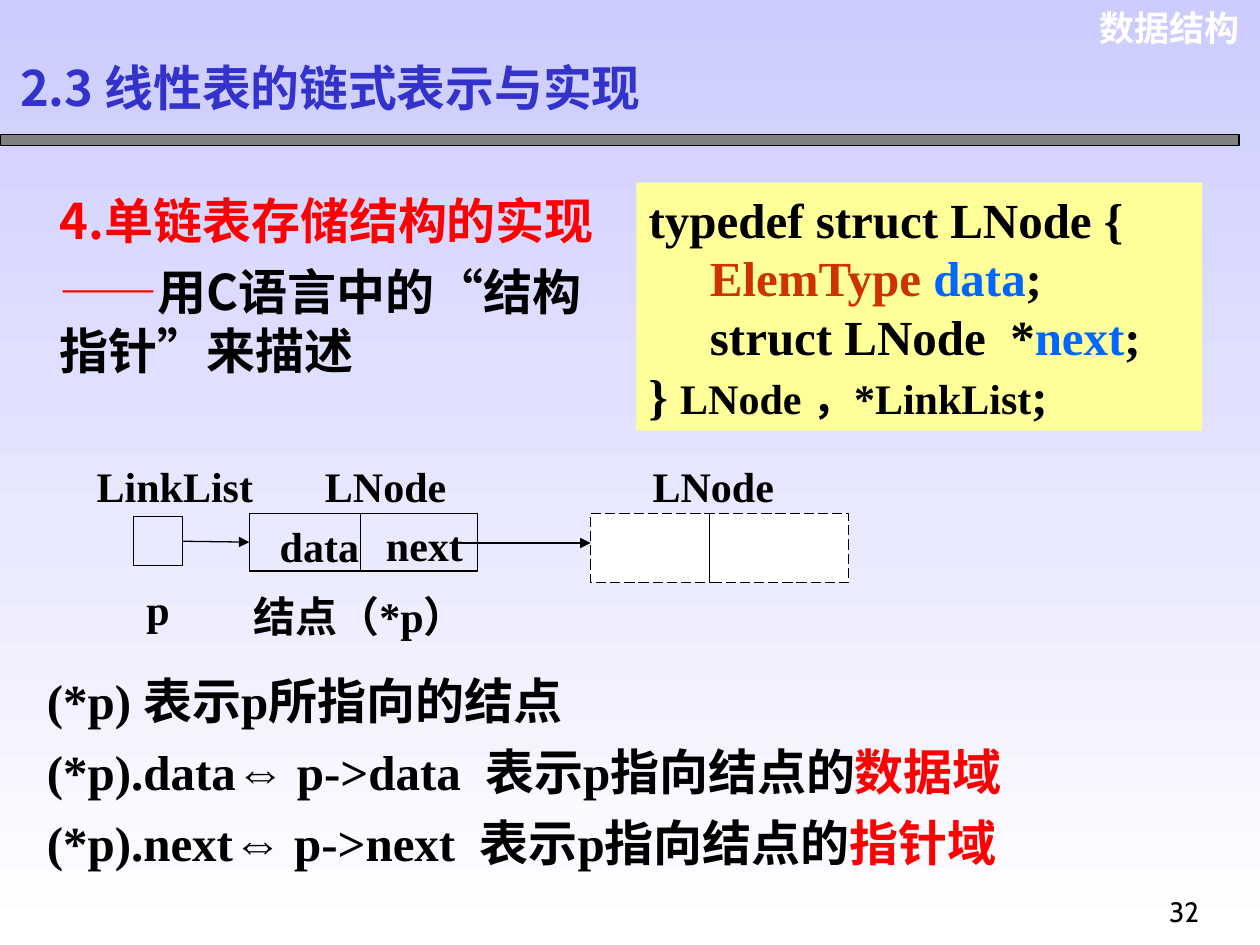
import pptx
import pptx.util
import pptx.dml.color
import pptx.enum.dml
import pptx.enum.shapes
import pptx.enum.text
from pptx.oxml.ns import qn
from lxml import etree

Pt = pptx.util.Pt
RGB = pptx.dml.color.RGBColor
ALIGN = pptx.enum.text.PP_ALIGN
ANCHOR = pptx.enum.text.MSO_ANCHOR

BLACK = RGB(0x00, 0x00, 0x00)
WHITE = RGB(0xFF, 0xFF, 0xFF)
GRAY = RGB(0x80, 0x80, 0x80)
LAVENDER = RGB(0xCC, 0xCC, 0xFF)
INDIGO = RGB(0x33, 0x33, 0xCC)
YELLOW = RGB(0xFF, 0xFF, 0x99)
RED = RGB(0xFF, 0x00, 0x00)
RUST = RGB(0xCC, 0x33, 0x00)
BLUE = RGB(0x00, 0x66, 0xFF)
SERIF, SANS, CJK = "Times New Roman", "Arial", "Noto Sans CJK SC"

# Content: a paragraph is a list of runs, a run is (text, overrides)
COURSE = [[("数据结构", {})]]
TITLE = [[("2.3 线性表的链式表示与实现", {})]]
TOPIC = [
    [("4.单链表存储结构的实现", {"color": RED})],
    [("——", {"color": RED}), ("用C语言中的“结构指针”来描述", {})],
]
CODE = [
    [("typedef struct LNode {", {})],
    [("ElemType ", {"color": RUST}), ("data", {"color": BLUE}), (";", {})],
    [("struct LNode  *", {}), ("next", {"color": BLUE}), (";", {})],
    [("} ", {}), ("LNode ，*LinkList", {"size": 24}), (";", {})],
]
MEANINGS = [[("(*p) 表示p所指向的结点", {})]] + [
    [(f"(*p).{field}", {}), ("⇔", {"name": SANS}),
     (f" p->{field}  表示p指向结点的", {}), (domain, {"color": RED})]
    for field, domain in (("data", "数据域"), ("next", "指针域"))
]
# Diagram labels: text, left, top, width, alignment
LABELS = [
    ("LinkList", 48.2, 259.4, 104, ALIGN.LEFT),
    ("LNode", 178.6, 259.4, 84, ALIGN.LEFT),
    ("LNode", 365.8, 259.4, 84, ALIGN.LEFT),
    ("data", 151, 294, 63, ALIGN.CENTER),
    ("next", 211, 293.3, 63, ALIGN.CENTER),
    ("p", 75.3, 330, 30, ALIGN.CENTER),
    ("结点（*p）", 132, 334, 147, ALIGN.CENTER),
]

prs = pptx.Presentation()
prs.slide_width, prs.slide_height = Pt(720), Pt(540)
s = prs.slides.add_slide(prs.slide_layouts[6])


def set_font(font, name=None, size=None, color=None, bold=None):
    if size:
        font.size = Pt(size)
    if bold is not None:
        font.bold = bold
    if color is not None:
        font.color.rgb = color
    if name:
        font.name = name


def write(sp, paragraphs, name=SERIF, size=28, color=BLACK, bold=True,
          align=ALIGN.LEFT, anchor=ANCHOR.MIDDLE, wrap=True):
    tf = sp.text_frame
    tf.word_wrap, tf.vertical_anchor = wrap, anchor
    for i, runs in enumerate(paragraphs):
        p = tf.paragraphs[0] if i == 0 else tf.add_paragraph()
        p.alignment = align
        set_font(p.font, name, size, color, bold)
        for text, overrides in runs:
            r = p.add_run()
            r.text = text
            set_font(r.font, **overrides)
            ea = etree.SubElement(r.font._element, qn("a:ea"))
            ea.set("typeface", CJK)
    return tf


def text_box(left, top, width, height, paragraphs, **style):
    sp = s.shapes.add_textbox(Pt(left), Pt(top), Pt(width), Pt(height))
    return write(sp, paragraphs, **style)


def rect(left, top, width, height, fill=None, line=BLACK):
    sp = s.shapes.add_shape(pptx.enum.shapes.MSO_SHAPE.RECTANGLE,
                            Pt(left), Pt(top), Pt(width), Pt(height))
    sp.shadow.inherit = False
    if fill is None:
        sp.fill.background()
    else:
        sp.fill.solid()
        sp.fill.fore_color.rgb = fill
    if line is None:
        sp.line.fill.background()
    else:
        sp.line.color.rgb = line
        sp.line.width = Pt(0.75)
    return sp


def connect(x1, y1, x2, y2, arrow=False):
    c = s.shapes.add_connector(pptx.enum.shapes.MSO_CONNECTOR.STRAIGHT,
                               Pt(x1), Pt(y1), Pt(x2), Pt(y2))
    c.line.color.rgb = BLACK
    c.line.width = Pt(0.75)
    if arrow:
        etree.SubElement(c.line._get_or_add_ln(), qn("a:tailEnd")).set("type", "triangle")
    etree.SubElement(c._element.spPr, qn("a:effectLst"))
    return c


# Background gradient, top to bottom
bg = s.background.fill
bg.gradient()
bg.gradient_angle = 270
for stop, position, color in zip(bg.gradient_stops, (0, 1), (LAVENDER, WHITE)):
    stop.position = position
    stop.color.rgb = color

# Header
tf = text_box(617, 0, 98.6, 31.7, COURSE, name=SANS, size=20, color=WHITE,
              align=ALIGN.RIGHT, anchor=ANCHOR.TOP)
tf.paragraphs[0].space_before = Pt(12.5)
rect(0, 77, 708, 6, GRAY)
tf = text_box(4.5, 31.7, 612, 41.8, TITLE, name=CJK, size=27.9, color=INDIGO)
tf.paragraphs[0].line_spacing = 0.8

# Topic
tf = text_box(27, 98.6, 327.6, 121.7, TOPIC, name=CJK, anchor=ANCHOR.TOP)
tf.paragraphs[0].line_spacing = 1.2
tf.paragraphs[0].space_after = Pt(7)

# Type definition, with the struct members indented
tf = write(rect(363.6, 104.4, 323.3, 141.8, YELLOW, None), CODE)
for p in tf.paragraphs[1:3]:
    p._p.get_or_add_pPr().set("marL", str(Pt(35)))

# Linked list diagram
pointer = rect(76.3, 295.3, 28, 28)
node = rect(142.5, 293.3, 130.5, 33)
next_node = rect(337.5, 293.3, 147.5, 39.6, WHITE)
next_node.line.dash_style = pptx.enum.dml.MSO_LINE.LONG_DASH
for x, box in ((205.9, node), (405.4, next_node)):
    connect(x, box.top.pt, x, box.top.pt + box.height.pt)
link = connect(104.3, 309.3, 142.5, 309.8, arrow=True)
link.begin_connect(pointer, 3)
link.end_connect(node, 1)
connect(263.5, 310.3, 337.5, 310.3, arrow=True)
for text, left, top, width, align in LABELS:
    text_box(left, top, width, 36, [[(text, {})]], size=24, align=align, wrap=False)

# Meaning of the expressions
tf = text_box(19.7, 373, 588.2, 128.2, MEANINGS)
for p in tf.paragraphs:
    p.line_spacing = 1.2

# Slide number
tf = text_box(661, 507.6, 90.7, 30.2, [[("32", {})]], name="Cabin", size=16,
              bold=False, anchor=ANCHOR.TOP, wrap=False)
tf.paragraphs[0].space_before = Pt(10)

prs.save("out.pptx")
